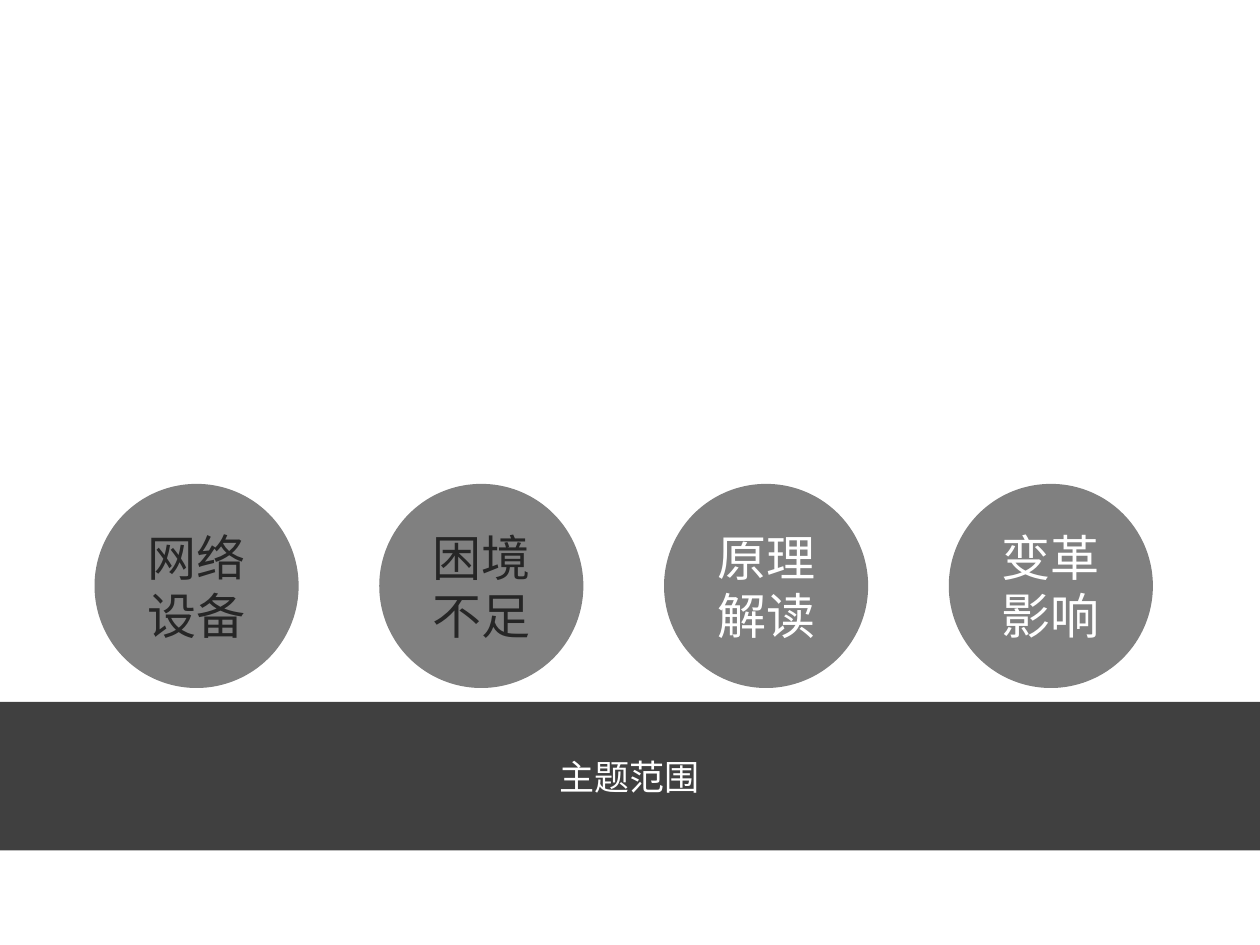
import pptx
import pptx.util
import pptx.dml.color
import pptx.enum.shapes
import pptx.enum.text

Inches = pptx.util.Inches
Color = pptx.dml.color.RGBColor
Kind = pptx.enum.shapes.MSO_SHAPE

WHITE = Color(0xFF, 0xFF, 0xFF)
INK = Color(0x26, 0x26, 0x26)
GRAY = Color(0x80, 0x80, 0x80)
DARK = Color(0x40, 0x40, 0x40)

BAND = "主题范围"
TOPICS = [
    ("网络设备", INK),
    ("困境不足", INK),
    ("原理解读", WHITE),
    ("变革影响", WHITE),
]
LEFT, TOP, SIZE, STEP = 0.75, 3.84, 1.62, 2.26


def draw(slide, kind, box, fill, text, style):
    shape = slide.shapes.add_shape(kind, *map(Inches, box))
    shape.shadow.inherit = False
    shape.fill.solid()
    shape.fill.fore_color.rgb = fill
    shape.line.fill.background()
    frame = shape.text_frame
    frame.word_wrap = True
    frame.vertical_anchor = pptx.enum.text.MSO_ANCHOR.MIDDLE
    para = frame.paragraphs[0]
    para.alignment = pptx.enum.text.PP_ALIGN.CENTER
    run = para.add_run()
    run.text = text
    run.font.color.rgb = style["color"]
    for key in ("name", "size"):
        setattr(run.font, key, style[key])


def main():
    deck = pptx.Presentation()
    deck.slide_width, deck.slide_height = Inches(10), Inches(7.5)
    slide = deck.slides.add_slide(deck.slide_layouts[6])
    style = {"name": "Arial", "size": pptx.util.Pt(20), "color": WHITE}
    draw(slide, Kind.RECTANGLE, (0, 5.57, 10, 1.18), DARK, BAND, style)
    for i, (text, color) in enumerate(TOPICS):
        box = (LEFT + i * STEP, TOP, SIZE, SIZE)
        style = {"name": "Arial", "size": pptx.util.Pt(28), "color": color}
        draw(slide, Kind.OVAL, box, GRAY, text, style)
    deck.save("out.pptx")


if __name__ == "__main__":
    main()
